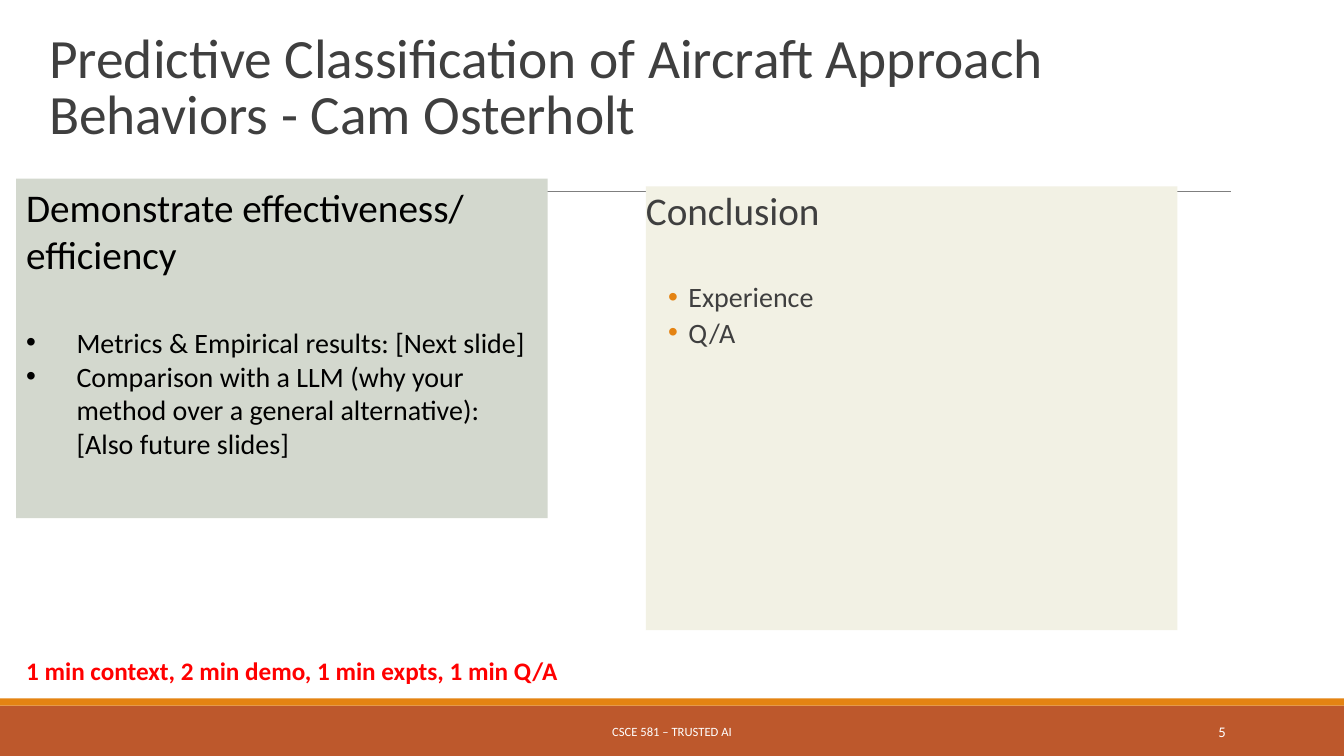
from pptx import Presentation
from pptx.dml.color import RGBColor
from pptx.enum.shapes import MSO_CONNECTOR as Connector, MSO_SHAPE as Shape
from pptx.enum.text import MSO_ANCHOR as Anchor, MSO_AUTO_SIZE as AutoSize, PP_ALIGN as Align
from pptx.oxml.ns import qn
from pptx.util import Cm, Pt
from lxml.etree import SubElement


def rgb(value):
    return RGBColor.from_string(value)


class SlideBuilder:
    """Draws styled elements on the current slide."""

    font = "Calibri"
    ink, black, white = "3F3F3F", "000000", "FFFFFF"
    rust, orange, red = "BD582C", "E48312", "FF0000"
    sage, cream, grey = "D3D8CE", "F2F1E4", "7F7F7F"

    def __init__(self, slide):
        self.slide = slide

    def format(self, paragraph, size, color, bold=False):
        for run in paragraph.runs:
            run.font.name = self.font
            run.font.size = Pt(size)
            run.font.bold = bold
            run.font.color.rgb = rgb(color)

    def frame(self, shape, anchor, side=0.25):
        frame = shape.text_frame
        frame.word_wrap = True
        frame.auto_size = AutoSize.NONE
        frame.vertical_anchor = anchor
        frame.margin_left = frame.margin_right = Cm(side)
        frame.margin_top = frame.margin_bottom = Cm(0.13)
        return frame

    def title(self, text, box, size):
        title = self.slide.shapes.title
        title.left, title.top, title.width, title.height = map(Cm, box)
        frame = self.frame(title, Anchor.BOTTOM)
        frame.text = text
        heading = frame.paragraphs[0]
        heading.alignment = Align.LEFT
        heading.line_spacing = 0.85
        self.format(heading, size, self.ink)

    def block(self, box, fill):
        block = self.slide.shapes.add_shape(Shape.RECTANGLE, *map(Cm, box))
        block.shadow.inherit = False
        block.fill.solid()
        block.fill.fore_color.rgb = rgb(fill)
        block.line.fill.background()
        return block

    def rule(self, start, end, color, width):
        rule = self.slide.shapes.add_connector(Connector.STRAIGHT, *map(Cm, start + end))
        rule.line.color.rgb = rgb(color)
        rule.line.width = Pt(width)
        SubElement(rule._element.spPr, qn("a:effectLst"))

    def label(self, text, box, size, color, align=Align.LEFT, anchor=Anchor.MIDDLE, bold=False):
        label = self.slide.shapes.add_textbox(*map(Cm, box))
        frame = self.frame(label, anchor)
        frame.text = text
        frame.paragraphs[0].alignment = align
        self.format(frame.paragraphs[0], size, color, bold)

    def bullet(self, paragraph, color, margin, hanging):
        props = paragraph._p.get_or_add_pPr()
        props.set("marL", str(Cm(margin)))
        props.set("indent", str(-Cm(hanging)))
        SubElement(SubElement(props, qn("a:buClr")), qn("a:srgbClr"), val=color)
        SubElement(props, qn("a:buFont"), typeface="Arial")
        SubElement(props, qn("a:buChar"), char="•")

    def panel(self, box, fill, color, heading, points, bullet, side=0.25,
              spacing=1.0, gap=34, before=0):
        frame = self.frame(self.block(box, fill), Anchor.TOP, side)
        frame.text = "\n".join([heading, *points])
        for index, paragraph in enumerate(frame.paragraphs):
            paragraph.alignment = Align.LEFT
            paragraph.line_spacing = spacing
            self.format(paragraph, 20 if index else 28, color)
            if index:
                paragraph.space_before = Pt(gap if index == 1 else before)
                self.bullet(paragraph, *bullet)


def main():
    deck = Presentation()
    deck.slide_width, deck.slide_height = Cm(33.87), Cm(19.05)
    page = SlideBuilder(deck.slides.add_slide(deck.slide_layouts[5]))

    page.block((0, 17.78, 33.87, 1.27), page.rust)
    page.block((0, 17.6, 33.87, 0.18), page.orange)
    page.rule((3.33, 4.83), (31.01, 4.83), page.grey, 0.75)
    page.title("Predictive Classification of Aircraft Approach Behaviors - Cam Osterholt",
               (0.99, 1.12, 27.94, 2.69), 39.6)

    page.panel((16.28, 4.7, 13.39, 11.18), page.cream, page.ink, "Conclusion",
               ["Experience", "Q/A"], (page.orange, 1.07, 0.51),
               side=0, spacing=0.9, gap=35, before=4)
    page.panel((0.41, 4.5, 13.39, 8.56), page.sage, page.black,
               "Demonstrate effectiveness/ efficiency",
               ["Metrics & Empirical results: [Next slide]",
                "Comparison with a LLM (why your method over a general alternative): "
                "[Also future slides]"],
               (page.black, 1.27, 1.27))

    page.label("1 min context, 2 min demo, 1 min expts, 1 min Q/A",
               (0.41, 16.38, 14.83, 1.02), 18, page.red, anchor=Anchor.TOP, bold=True)
    page.label("CSCE 581 – TRUSTED AI", (10.24, 17.93, 13.39, 1.02), 9, page.white, Align.CENTER)
    page.label("5", (27.51, 17.93, 3.63, 1.02), 10.5, page.white, Align.RIGHT)

    deck.save("out.pptx")


if __name__ == "__main__":
    main()
